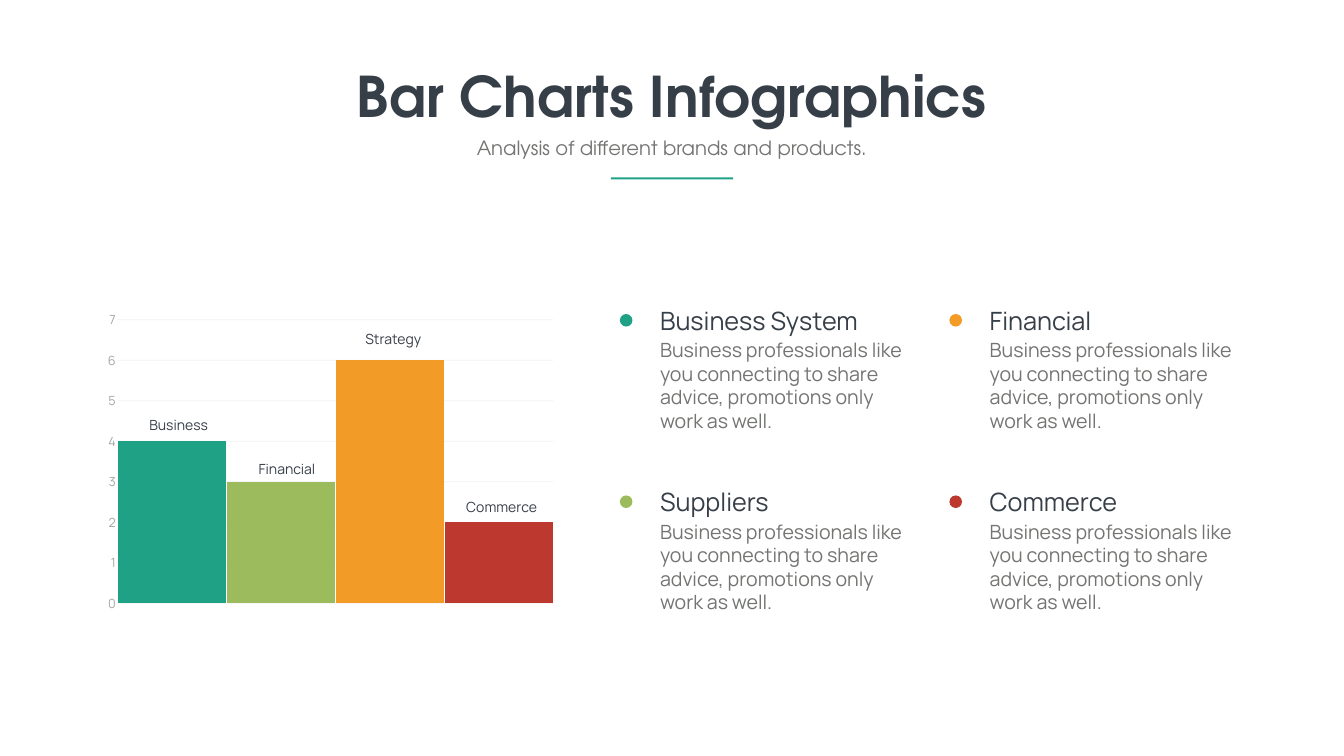
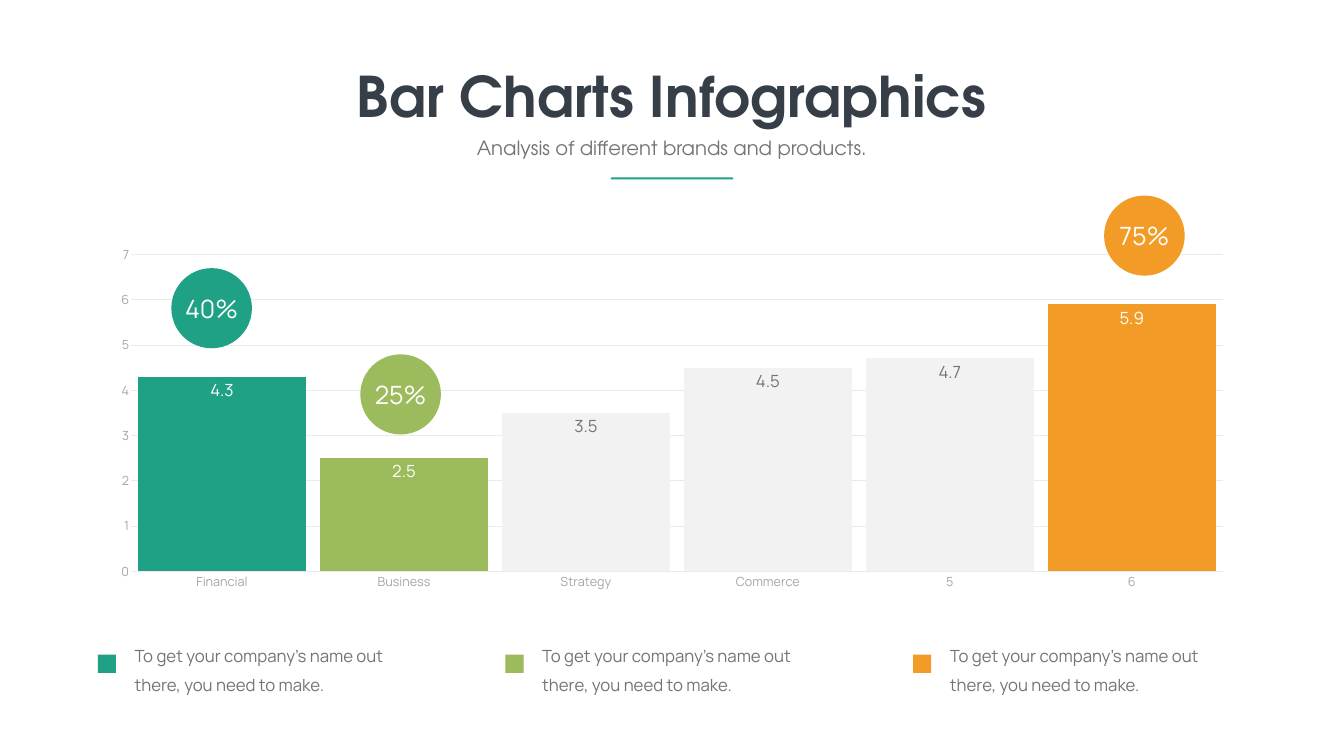
import dataclasses

import lxml.etree
import pptx
import pptx.chart.data
import pptx.dml.color
import pptx.enum.chart
import pptx.enum.shapes
import pptx.enum.text
import pptx.oxml
import pptx.oxml.ns
import pptx.util

Inches = pptx.util.Inches
Pt = pptx.util.Pt
Color = pptx.dml.color.RGBColor.from_string
ShapeKind = pptx.enum.shapes.MSO_SHAPE
Align = pptx.enum.text.PP_ALIGN
Anchor = pptx.enum.text.MSO_ANCHOR
AutoSize = pptx.enum.text.MSO_AUTO_SIZE
ChartKind = pptx.enum.chart.XL_CHART_TYPE
qn = pptx.oxml.ns.qn


@dataclasses.dataclass(frozen=True)
class Theme:
    teal: str = "1EA185"
    green: str = "9BBB5C"
    orange: str = "F29B26"
    red: str = "BD392F"
    dark: str = "363E48"
    gray: str = "737572"
    axis: str = "A4A6A3"
    grid: str = "EAEAEA"
    faint_grid: str = "808080"
    pale: str = "F2F2F2"
    white: str = "FFFFFF"
    title_font: str = "TeX Gyre Adventor"
    body_font: str = "Manrope"
    title_size: int = 80
    heading_size: int = 36
    body_size: int = 28
    legend_size: int = 24
    label_size: int = 20
    axis_size: int = 18


theme = Theme()


def write_text(shape, text, size, color, font=theme.body_font, bold=False,
               align=Align.LEFT, anchor=Anchor.TOP, wrap=True, grow=True,
               margins=(0.1, 0.05), line_spacing=None):
    frame = shape.text_frame
    frame.text = text
    frame.word_wrap = wrap
    frame.auto_size = AutoSize.SHAPE_TO_FIT_TEXT if grow else AutoSize.NONE
    frame.vertical_anchor = anchor
    frame.margin_left = frame.margin_right = Inches(margins[0])
    frame.margin_top = frame.margin_bottom = Inches(margins[1])
    paragraph = frame.paragraphs[0]
    paragraph.alignment = align
    paragraph.space_before = Pt(0)
    if line_spacing:
        paragraph.line_spacing = Pt(line_spacing)
    paragraph.font.name = font
    paragraph.font.size = Pt(size)
    paragraph.font.bold = bold
    paragraph.font.color.rgb = Color(color)


def add_bar_chart(slide, kind, box, categories, values, colors, gap, overlap,
                  grid_color, grid_width, plot_area):
    data = pptx.chart.data.CategoryChartData()
    data.categories = categories
    data.add_series("Series 1", values)
    chart = slide.shapes.add_chart(kind, *map(Inches, box), data).chart
    chart.has_legend = False
    chart.has_title = False
    chart.font.name = theme.body_font
    chart.font.size = Pt(theme.axis_size)
    chart.font.color.rgb = Color(theme.gray)

    plot = chart.plots[0]
    plot.gap_width = gap
    plot.overlap = overlap
    plot.vary_by_categories = False
    series = plot.series[0]
    series.invert_if_negative = False
    series.format.fill.solid()
    series.format.fill.fore_color.rgb = Color(theme.teal)
    for index, color in enumerate(colors):
        fill = series.points[index].format.fill
        fill.solid()
        fill.fore_color.rgb = Color(color)

    for axis in (chart.category_axis, chart.value_axis):
        axis.major_tick_mark = pptx.enum.chart.XL_TICK_MARK.NONE
        axis.minor_tick_mark = pptx.enum.chart.XL_TICK_MARK.NONE
        axis.tick_labels.font.name = theme.body_font
        axis.tick_labels.font.size = Pt(theme.axis_size)
        axis.tick_labels.font.color.rgb = Color(theme.axis)
    chart.category_axis.format.line.color.rgb = Color(theme.grid)
    chart.category_axis.format.line.width = Pt(0.75)
    value_axis = chart.value_axis
    value_axis.minimum_scale = 0
    value_axis.maximum_scale = 7
    value_axis.major_unit = 1
    value_axis.format.line.fill.background()
    value_axis.has_major_gridlines = True
    value_axis.major_gridlines.format.line.color.rgb = Color(grid_color)
    value_axis.major_gridlines.format.line.width = Pt(grid_width)

    area = chart._chartSpace.chart.plotArea
    for old_layout in area.findall(qn("c:layout")):
        area.remove(old_layout)
    layout = lxml.etree.Element(qn("c:layout"))
    area.insert(0, layout)
    manual = lxml.etree.SubElement(layout, qn("c:manualLayout"))
    settings = [("layoutTarget", "inner"), ("xMode", "edge"), ("yMode", "edge")]
    settings += zip("xywh", plot_area)
    for tag, value in settings:
        lxml.etree.SubElement(manual, qn("c:" + tag)).set("val", str(value))
    return chart


presentation = pptx.Presentation()
presentation.slide_width = Inches(26.67)
presentation.slide_height = Inches(15)

slides = []
for number in range(2):
    slide = presentation.slides.add_slide(presentation.slide_layouts[0])
    slides.append(slide)
    title, subtitle = slide.placeholders
    title.left, title.top, title.width, title.height = map(Inches, (6.92, 1.17, 12.82, 1.45))
    write_text(title, "Bar Charts Infographics", theme.title_size, theme.dark,
               font=theme.title_font, bold=True, align=Align.CENTER, wrap=False)
    subtitle.left, subtitle.top, subtitle.width, subtitle.height = map(Inches, (8.55, 2.65, 9.56, 0.57))
    write_text(subtitle, "Analysis of different brands and products.", theme.body_size,
               theme.gray, font=theme.title_font, align=Align.CENTER)
    rule = slide.shapes.add_shape(ShapeKind.RECTANGLE, *map(Inches, (12.12, 3.52, 2.43, 0.04)))
    rule.shadow.inherit = False
    rule.fill.solid()
    rule.fill.fore_color.rgb = Color(theme.teal)
    rule.line.fill.background()

overview, comparison = slides

chart = add_bar_chart(
    overview, ChartKind.COLUMN_STACKED, (1.94, 6.04, 9.23, 6.23),
    ["1", "2", "3", "4"], [4, 3, 6, 2],
    [theme.teal, theme.green, theme.orange, theme.red],
    gap=1, overlap=100, grid_color=theme.faint_grid, grid_width=1,
    plot_area=(0.043, 0.049, 0.936, 0.903))
chart.category_axis.visible = False
grid_line = chart.value_axis.major_gridlines.format.line
grid_rgb = grid_line._ln.find(".//" + qn("a:srgbClr"))
lxml.etree.SubElement(grid_rgb, qn("a:alpha")).set("val", "10000")

bar_labels = [("Business", 2.49, 8.21), ("Financial", 4.64, 9.09),
              ("Strategy", 6.75, 6.5), ("Commerce", 8.9, 9.85)]
for text, left, top in bar_labels:
    label = overview.shapes.add_textbox(*map(Inches, (left, top, 2.11, 0.44)))
    write_text(label, text, theme.label_size, theme.dark, align=Align.CENTER)

topics = [("Business System", theme.teal), ("Suppliers", theme.green),
          ("Financial", theme.orange), ("Commerce", theme.red)]
for index, (heading_text, color) in enumerate(topics):
    column, row = divmod(index, 2)
    left = 13 + 6.54 * column
    top = 6 + 3.6 * row
    dot = overview.shapes.add_shape(
        ShapeKind.OVAL, *map(Inches, (left - 0.7, top + 0.23, 0.25, 0.25)))
    dot.shadow.inherit = False
    dot.fill.solid()
    dot.fill.fore_color.rgb = Color(color)
    dot.line.fill.background()
    body = overview.shapes.add_textbox(*map(Inches, (left, top + 0.66, 5.19, 1.99)))
    write_text(body, "Business professionals like you connecting to share advice, "
               "promotions only work as well.", theme.body_size, theme.gray)
    heading = overview.shapes.add_textbox(*map(Inches, (left, top, 4.89, 0.71)))
    write_text(heading, heading_text, theme.heading_size, theme.dark)

chart = add_bar_chart(
    comparison, ChartKind.COLUMN_CLUSTERED, (1.94, 4.73, 22.78, 7.12),
    ["Financial", "Business", "Strategy", "Commerce", "5", "6"],
    [4.3, 2.5, 3.5, 4.5, 4.7, 5.9],
    [theme.teal, theme.green, theme.pale, theme.pale, theme.pale, theme.orange],
    gap=8, overlap=-27, grid_color=theme.grid, grid_width=0.75,
    plot_area=(0.029, 0.045, 0.951, 0.882))
series = chart.plots[0].series[0]
value_labels = series.data_labels
value_labels.show_value = True
value_labels.position = pptx.enum.chart.XL_LABEL_POSITION.INSIDE_END
label_fonts = [(value_labels.font, theme.white)]
for index in (2, 3, 4):
    point_label = series.points[index].data_label
    label_fonts.append((point_label.font, theme.gray))
    point_label.position = pptx.enum.chart.XL_LABEL_POSITION.INSIDE_END
for font, color in label_fonts:
    font.name = theme.body_font
    font.size = Pt(theme.legend_size)
    font.color.rgb = Color(color)

for index, color in enumerate([theme.teal, theme.green, theme.orange]):
    left = 1.94 + 8.09 * index
    note = comparison.shapes.add_textbox(*map(Inches, (left + 0.49, 12.53, 6.11, 1.35)))
    write_text(note, "To get your company’s name out there, you need to make.",
               theme.legend_size, theme.gray, margins=(0.24, 0.12), line_spacing=40.8)
    marker = comparison.shapes.add_shape(
        ShapeKind.RECTANGLE, *map(Inches, (left, 12.99, 0.36, 0.36)))
    marker.shadow.inherit = False
    marker.fill.solid()
    marker.fill.fore_color.rgb = Color(color)
    marker.line.fill.background()

badges = [("40%", 3.4, 5.32, theme.teal), ("25%", 7.15, 7.03, theme.green),
          ("75%", 21.91, 3.88, theme.orange)]
for text, left, top, color in badges:
    badge = comparison.shapes.add_shape(ShapeKind.OVAL, *map(Inches, (left, top, 1.6, 1.59)))
    badge.shadow.inherit = False
    badge.fill.solid()
    badge.fill.fore_color.rgb = Color(color)
    badge.line.fill.background()
    write_text(badge, text, theme.heading_size, theme.white, align=Align.CENTER,
               anchor=Anchor.MIDDLE, wrap=False, grow=False)

presentation.save("out.pptx")
